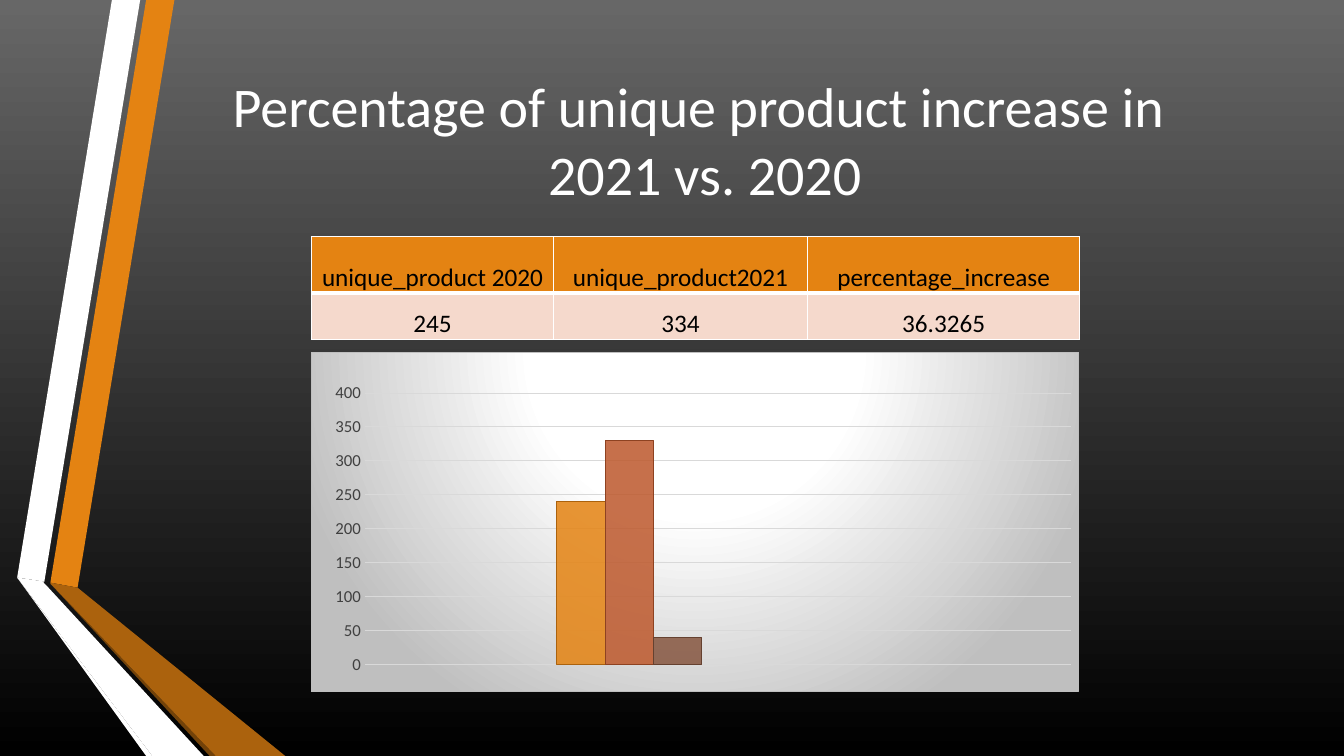
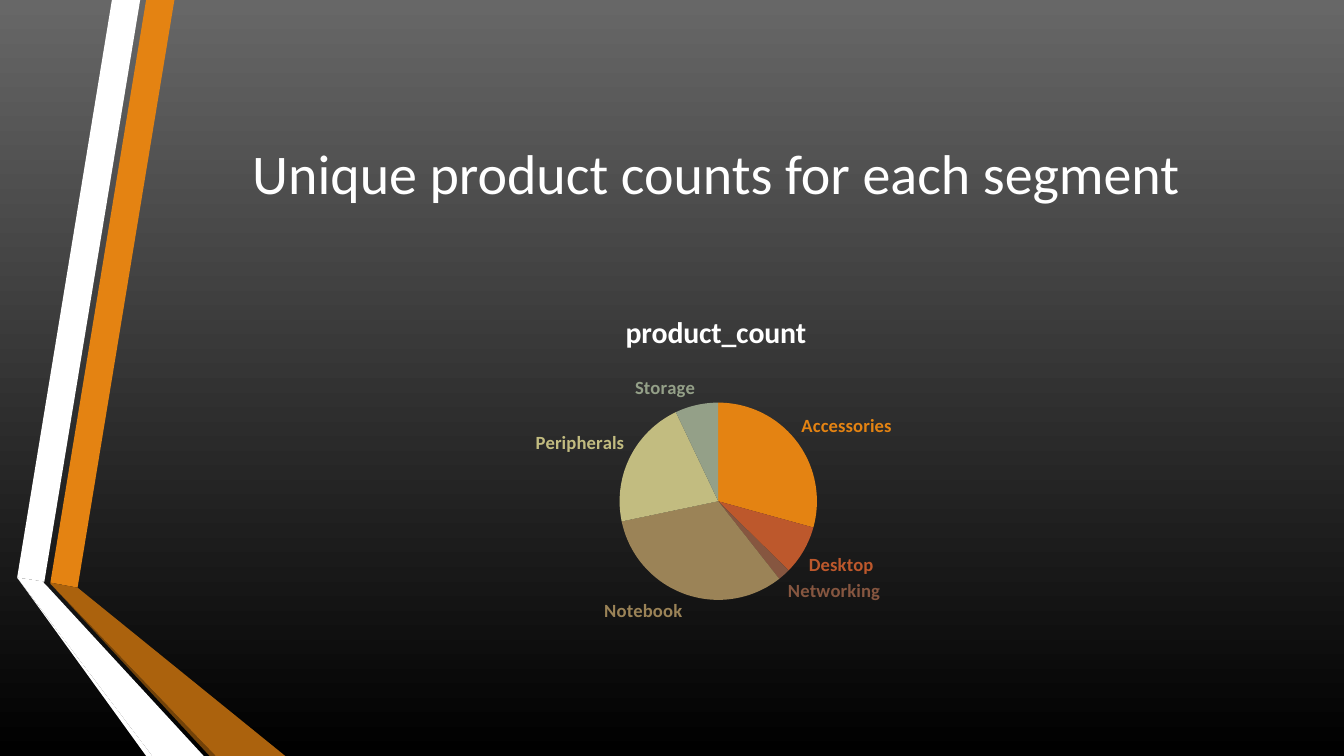
import pptx
import pptx.chart.data
import pptx.dml.color
import pptx.enum.chart
import pptx.enum.text
import pptx.oxml
import pptx.oxml.ns
import pptx.util
from pptx.util import Inches, Pt

FONT = "Calibri"
COLORS = {
    "white": "FFFFFF", "black": "000000", "bg_top": "676767",
    "orange": "E48312", "orange_dark": "AB620D", "orange_deep": "724209",
    "rust": "BD582C", "rust_dark": "8E4221",
    "brown": "865640", "brown_dark": "654130",
    "tan": "9B8357", "olive": "C2BC80", "sage": "94A088",
    "blush": "F5D9CC", "grid": "D9D9D9", "gray": "BFBFBF", "axis": "404040",
}
RIBBONS = [
    ("orange", [(0.5, 5.78), (0.77, 5.83), (1.73, 0), (1.45, 0)]),
    ("white", [(1.39, 0), (1.11, 0), (0.17, 5.73), (0.44, 5.77)]),
    ("white", [(0.17, 5.73), (1.45, 7.5), (1.51, 7.5)]),
    ("orange_deep", [(0.5, 5.79), (2.08, 7.5), (2.14, 7.5)]),
    ("orange_dark", [(0.5, 5.79), (2.14, 7.5), (2.83, 7.5), (0.77, 5.83), (0.5, 5.78)]),
    ("white", [(2.02, 7.5), (0.48, 5.83), (0.43, 5.78), (0.44, 5.77),
               (0.17, 5.73), (1.51, 7.5)]),
]
COUNTS = [
    ("unique_product 2020", "245", 240, "orange", "orange_dark"),
    ("unique_product2021", "334", 330, "rust", "rust_dark"),
    ("percentage_increase", "36.3265", 40, "brown", "brown_dark"),
]
SEGMENTS = [
    ("Accessories", 29, "orange"), ("Desktop", 8, "rust"),
    ("Networking", 2, "brown"), ("Notebook", 32, "tan"),
    ("Peripherals", 21, "olive"), ("Storage", 7, "sage"),
]


def rgb(name):
    """Return the named colour."""
    return pptx.dml.color.RGBColor.from_string(COLORS[name])


def xml(text):
    """Parse a fragment that uses the a: and c: prefixes."""
    head, rest = text.split(">", 1)
    slash = "/" if head.endswith("/") else ""
    head = head.rstrip("/")
    return pptx.oxml.parse_xml(f"{head} {pptx.oxml.ns.nsdecls('a', 'c')}{slash}>{rest}")


def style_font(font, size, color, bold=False):
    """Set face, size, colour and weight."""
    font.name, font.size, font.bold = FONT, Pt(size), bold
    font.color.rgb = rgb(color)


def set_background(master):
    """Fill the master with the vertical gradient."""
    fill = master.background.fill
    fill.gradient()
    fill.gradient_angle = 270
    for stop, color in zip(fill.gradient_stops, ("bg_top", "black")):
        stop.color.rgb = rgb(color)


def add_ribbons(s, layout):
    """Draw the folded ribbons and place them on the shared layout."""
    for i, (color, points) in enumerate(RIBBONS):
        (x, y), *rest = [(Inches(px), Inches(py)) for px, py in points]
        builder = s.shapes.build_freeform(x, y)
        builder.add_line_segments(rest, close=True)
        sp = builder.convert_to_shape()
        sp.shadow.inherit = False
        sp.fill.solid()
        sp.fill.fore_color.rgb = rgb(color)
        sp.line.fill.background()
        sp.element.nvSpPr.cNvPr.set("id", str(100 + i))
        layout.shapes.element.append(sp.element)


def add_title(s, lines, left, top):
    """Place the title and write its lines."""
    title = s.shapes.title
    title.left, title.top = Inches(left), Inches(top)
    title.width, title.height = Inches(10.96), Inches(1.92)
    tf = title.text_frame
    tf.word_wrap = True
    tf.auto_size = pptx.enum.text.MSO_AUTO_SIZE.NONE
    tf.vertical_anchor = pptx.enum.text.MSO_ANCHOR.MIDDLE
    p = tf.paragraphs[0]
    p.alignment = pptx.enum.text.PP_ALIGN.CENTER
    for i, line in enumerate(lines):
        if i:
            p.add_line_break()
        r = p.add_run()
        r.text = line
        style_font(r.font, 40, "white")


def set_borders(cell, bottom):
    """Give a cell white borders, with its own bottom width."""
    tc_pr = cell._tc.get_or_add_tcPr()
    widths = {"lnL": 1, "lnR": 1, "lnT": 1, "lnB": bottom}
    for i, (side, width) in enumerate(widths.items()):
        tc_pr.insert(i, xml(
            f'<a:{side} w="{Pt(width)}"><a:solidFill><a:srgbClr val="{COLORS["white"]}"/>'
            f'</a:solidFill></a:{side}>'))


def add_count_table(s, left, top, width, height):
    """Add the table of product counts."""
    table = s.shapes.add_table(2, 3, Inches(left), Inches(top),
                               Inches(width), Inches(height)).table
    for column, w in zip(table.columns, (2.4, 2.52, 2.7)):
        column.width = Inches(w)
    headings, values = zip(*(count[:2] for count in COUNTS))
    rows = zip(table.rows, (headings, values), (0.56, 0.46), ("orange", "blush"), (3, 1))
    for row, texts, h, color, bottom in rows:
        row.height = Inches(h)
        for cell, text in zip(row.cells, texts):
            cell.margin_left = cell.margin_right = cell.margin_top = Inches(0.01)
            cell.margin_bottom = 0
            cell.vertical_anchor = pptx.enum.text.MSO_ANCHOR.BOTTOM
            cell.fill.solid()
            cell.fill.fore_color.rgb = rgb(color)
            set_borders(cell, bottom)
            p = cell.text_frame.paragraphs[0]
            p.alignment = pptx.enum.text.PP_ALIGN.CENTER
            r = p.add_run()
            r.text = text
            style_font(r.font, 18, "black")


def add_chart(s, kind, data, left, top, width, height):
    """Add a chart with the shared font and no legend."""
    chart = s.shapes.add_chart(kind, Inches(left), Inches(top),
                               Inches(width), Inches(height), data).chart
    style_font(chart.font, 10, "white")
    chart.has_legend = False
    return chart


def set_chart_panel(chart):
    """Give the chart its glowing panel and fix its plot area."""
    stops = "".join(
        f'<a:gs pos="{pos * 1000}"><a:srgbClr val="{COLORS[color]}"/></a:gs>'
        for pos, color in ((0, "white"), (39, "white"), (100, "gray")))
    chart.element.xpath("c:chart")[0].addnext(xml(
        f'<c:spPr><a:gradFill><a:gsLst>{stops}</a:gsLst><a:path path="circle">'
        '<a:fillToRect l="50000" t="-80000" r="50000" b="180000"/></a:path></a:gradFill>'
        f'<a:ln w="{Pt(0.75)}"><a:solidFill><a:srgbClr val="{COLORS["gray"]}"/>'
        '</a:solidFill></a:ln></c:spPr>'))
    plot_area = chart.element.xpath("c:chart/c:plotArea")[0]
    for old in plot_area.xpath("c:layout"):
        plot_area.remove(old)
    sizes = "".join(f'<c:{k} val="{v}"/>' for k, v in
                    (("x", 0.07), ("y", 0.12), ("w", 0.92), ("h", 0.8)))
    plot_area.insert(0, xml(
        '<c:layout><c:manualLayout><c:layoutTarget val="inner"/><c:xMode val="edge"/>'
        f'<c:yMode val="edge"/>{sizes}</c:manualLayout></c:layout>'))


def add_count_chart(s, left, top, width, height):
    """Add the column chart of the rounded counts."""
    data = pptx.chart.data.CategoryChartData()
    data.categories = ["1", "2", "3", "4"]
    for i, (_, _, value, _, _) in enumerate(COUNTS, 1):
        data.add_series(f"Series {i}", [None, value, None, None])
    chart = add_chart(s, pptx.enum.chart.XL_CHART_TYPE.COLUMN_CLUSTERED, data,
                      left, top, width, height)
    chart.has_title = False
    set_chart_panel(chart)
    chart.category_axis.visible = False
    axis = chart.value_axis
    axis.minimum_scale, axis.maximum_scale, axis.major_unit = 0, 400, 50
    axis.major_tick_mark = pptx.enum.chart.XL_TICK_MARK.NONE
    axis.format.line.fill.background()
    style_font(axis.tick_labels.font, 12, "axis")
    grid = axis.major_gridlines.format.line
    grid.color.rgb, grid.width = rgb("grid"), Pt(0.75)
    plot = chart.plots[0]
    plot.vary_by_categories = False
    plot.gap_width = 65
    for series, (_, _, _, color, edge) in zip(plot.series, COUNTS):
        series.format.fill.solid()
        series.format.fill.fore_color.rgb = rgb(color)
        series.format.line.color.rgb = rgb(edge)
        series.format.line.width = Pt(0.75)
    for color in chart.element.xpath(".//c:ser/c:spPr/a:solidFill/a:srgbClr"):
        color.append(xml('<a:alpha val="85000"/>'))


def add_segment_chart(s, left, top, width, height):
    """Add the pie chart with labels in the colours of the slices."""
    data = pptx.chart.data.CategoryChartData()
    data.categories = [name for name, _, _ in SEGMENTS]
    data.add_series("product_count", [value for _, value, _ in SEGMENTS])
    chart = add_chart(s, pptx.enum.chart.XL_CHART_TYPE.PIE, data,
                      left, top, width, height)
    chart.has_title = True
    r = chart.chart_title.text_frame.paragraphs[0].add_run()
    r.text = "product_count"
    style_font(r.font, 21.3, "white", bold=True)
    plot = chart.plots[0]
    plot.vary_by_categories = True
    for i, (_, _, color) in enumerate(SEGMENTS):
        point = plot.series[0].points[i]
        point.format.fill.solid()
        point.format.fill.fore_color.rgb = rgb(color)
        point.format.line.fill.background()
        style_font(point.data_label.font, 13.3, color, bold=True)
        point.data_label.position = pptx.enum.chart.XL_LABEL_POSITION.OUTSIDE_END
    for tag, shown in (("showVal", "0"), ("showPercent", "0"), ("showCatName", "1")):
        for flag in chart.element.xpath(f".//c:dLbls//c:{tag}"):
            flag.set("val", shown)


def add_increase_slide(prs, layout):
    """Build the slide on the growth of unique products."""
    s = prs.slides.add_slide(layout)
    add_title(s, ["Percentage of unique product increase in ", "2021 vs. 2020"], 1.51, 0.42)
    add_count_table(s, 3.09, 2.35, 7.62, 1.02)
    add_count_chart(s, 3.08, 3.49, 7.62, 3.38)
    return s


def add_segment_slide(prs, layout):
    """Build the slide on products by segment."""
    s = prs.slides.add_slide(layout)
    add_title(s, ["Unique product counts for each segment"], 1.62, 0.75)
    add_segment_chart(s, 1.62, 2.92, 10.96, 3.42)


def main():
    """Build and save the presentation."""
    prs = pptx.Presentation()
    prs.slide_width, prs.slide_height = Inches(13.33), Inches(7.5)
    layout = prs.slide_layouts[5]
    set_background(prs.slide_master)
    s = add_increase_slide(prs, layout)
    add_ribbons(s, layout)
    add_segment_slide(prs, layout)
    prs.save("out.pptx")


main()
